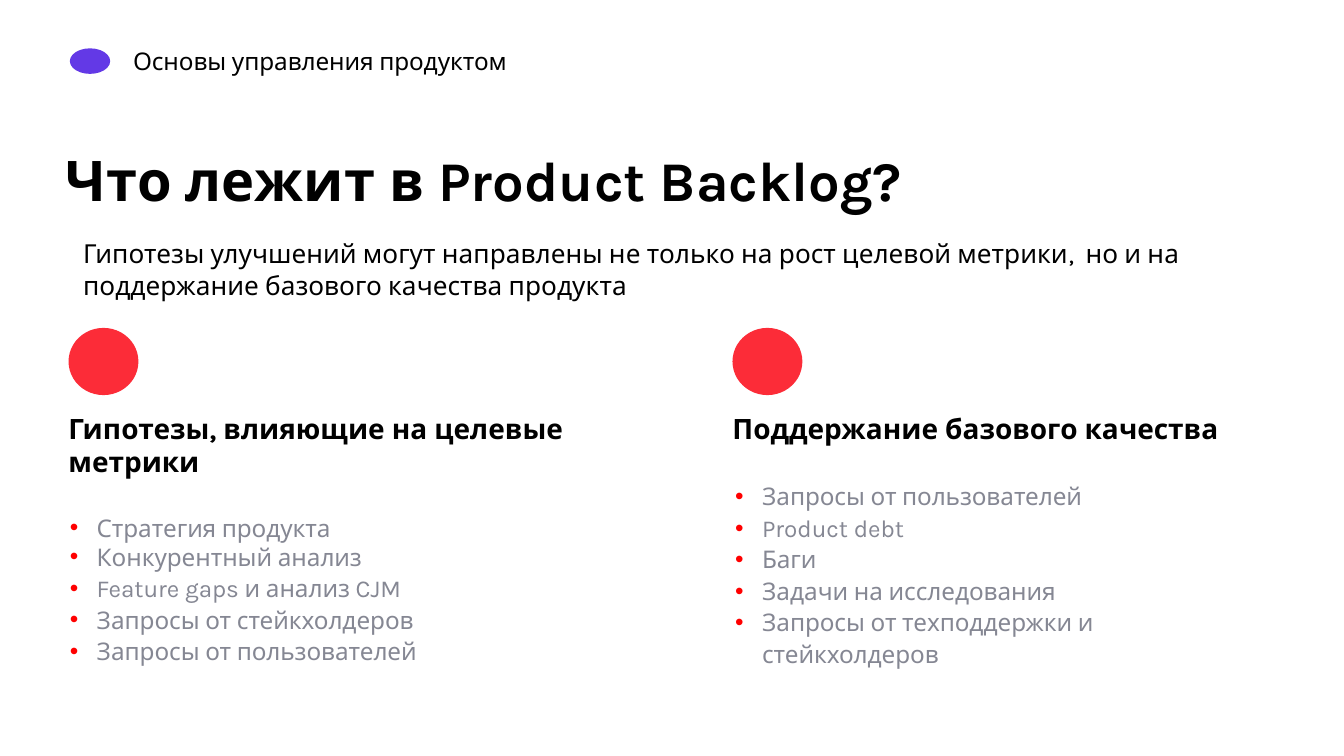
import pptx
import pptx.dml.color
import pptx.enum.shapes
import pptx.enum.text
import pptx.oxml
import pptx.util
from dataclasses import dataclass

Inches = pptx.util.Inches
Pt = pptx.util.Pt
SHAPES = pptx.enum.shapes.MSO_SHAPE


@dataclass(frozen=True)
class Theme:
    font: str = "Karla"
    ink: str = "000000"
    grey: str = "858793"
    red: str = "FC2C38"
    dot: str = "FF0000"
    mark: str = "6339E6"
    title: int = 30
    head: int = 15
    lead: int = 14
    body: int = 13


THEME = Theme()


def style(para, size, color=THEME.ink, bold=False):
    for run in para.runs:
        font = run.font
        font.name, font.size, font.bold = THEME.font, Pt(size), bold
        font.color.rgb = pptx.dml.color.RGBColor.from_string(color)


def add_box(slide, left, top, width, height, inset):
    box = slide.shapes.add_textbox(*map(Inches, (left, top, width, height)))
    frame = box.text_frame
    frame.word_wrap = True
    frame.auto_size = pptx.enum.text.MSO_AUTO_SIZE.NONE
    (frame.margin_left, frame.margin_top,
     frame.margin_right, frame.margin_bottom) = map(Inches, inset)
    return frame


def add_text(slide, area, text, size, bold=False, inset=(0, 0.01, 0, 0)):
    frame = add_box(slide, *area, inset)
    frame.text = text
    style(frame.paragraphs[0], size, bold=bold)
    return frame


def add_oval(slide, left, top, width, height, color):
    oval = slide.shapes.add_shape(
        SHAPES.OVAL, *map(Inches, (left, top, width, height)))
    oval.shadow.inherit = False
    oval.fill.solid()
    oval.fill.fore_color.rgb = pptx.dml.color.RGBColor.from_string(color)
    oval.line.fill.background()


def add_bullet(para):
    props = para._p.get_or_add_pPr()
    props.set("marL", str(Inches(0.22)))
    props.set("marR", str(Inches(0.7)))
    props.set("indent", str(Inches(-0.2)))
    space = 'xmlns:a="http://schemas.openxmlformats.org/drawingml/2006/main"'
    for xml in (f'<a:buClr {space}><a:srgbClr val="{THEME.dot}"/></a:buClr>',
                f'<a:buFont {space} typeface="Arial"/>',
                f'<a:buChar {space} char="•"/>'):
        props.append(pptx.oxml.parse_xml(xml))


def add_column(slide, area, head, items, indent=0, tight=0):
    """Heading with a bullet list; the first `tight` items are single-spaced."""
    frame = add_text(slide, area, head, THEME.head, bold=True)
    first = frame.paragraphs[0]._p.get_or_add_pPr()
    first.set("marL", str(Inches(indent)))
    for i, item in enumerate(items):
        para = frame.add_paragraph()
        para.text = item
        add_bullet(para)
        if i == 0:
            para.space_before = Pt(18.5)
        if i >= tight:
            para.line_spacing = 1.08
        style(para, THEME.body, THEME.grey)


def main():
    deck = pptx.Presentation()
    deck.slide_width = Inches(10)
    deck.slide_height = deck.slide_width * 9 // 16
    slide = deck.slides.add_slide(deck.slide_layouts[6])

    # Header
    add_oval(slide, 0.52, 0.36, 0.3, 0.19, THEME.mark)
    course = add_text(slide, (0.95, 0.3, 5.9, 0.25),
                      "Основы управления продуктом", THEME.body,
                      inset=(0.04,) * 4)
    course.paragraphs[0].line_spacing = 1.01

    # Title and lead
    add_text(slide, (0.49, 1.07, 8.33, 0.49),
             "Что лежит в Product Backlog?", THEME.title, bold=True)
    add_text(slide, (0.52, 1.67, 8.77, 0.73),
             "Гипотезы улучшений могут направлены не только на рост целевой "
             "метрики,  но и на поддержание базового качества продукта",
             THEME.lead, inset=(0.1,) * 4)

    # Two columns
    for left in (0.51, 5.45):
        add_oval(slide, left, 2.44, 0.52, 0.5, THEME.red)
    add_column(slide, (0.5, 3.05, 4.5, 1.27),
               "Гипотезы, влияющие на целевые метрики",
               ("Стратегия продукта", "Конкурентный анализ",
                "Feature gaps и анализ CJM", "Запросы от стейкхолдеров",
                "Запросы от пользователей"), indent=0.01, tight=2)
    add_column(slide, (5.45, 3.05, 4.41, 1.72),
               "Поддержание базового качества",
               ("Запросы от пользователей", "Product debt", "Баги",
                "Задачи на исследования",
                "Запросы от техподдержки и стейкхолдеров"))

    deck.save("out.pptx")


if __name__ == "__main__":
    main()
